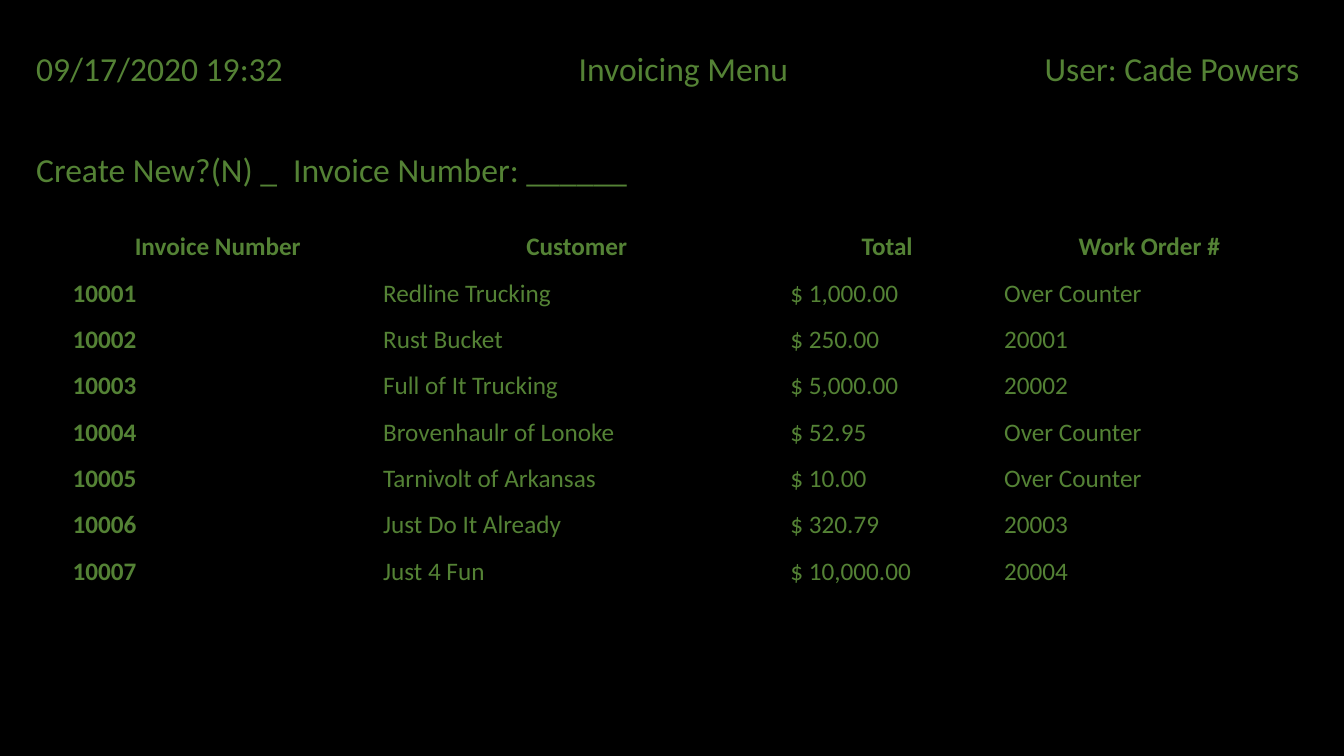
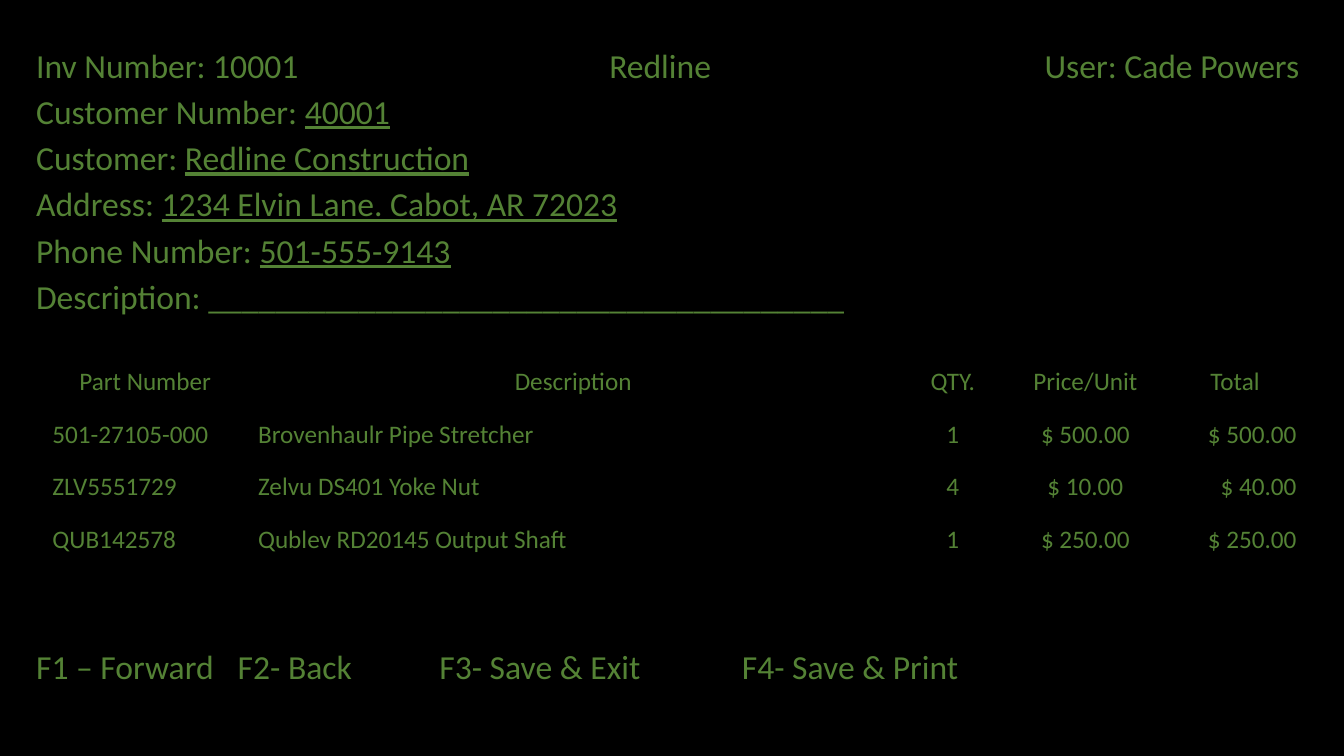
from pptx import Presentation
from pptx.dml.color import RGBColor
from pptx.enum.text import PP_ALIGN as Align
from pptx.oxml.ns import qn
from pptx.util import Inches, Pt
from lxml.etree import SubElement

GREEN, BLACK = "548235", "000000"
NO_GRID_STYLE = "{2D5ABB26-0587-4C30-8999-92F81FD0307C}"
LEFT, CENTER, RIGHT = Align.LEFT, Align.CENTER, Align.RIGHT
USER = "User: Cade Powers"
USER_TAB = (12.53, "r")


def color(value):
    return RGBColor.from_string(value)


def write(para, text, size, **extra):
    span = para.add_run()
    span.text = text
    span.font.color.rgb = color(GREEN)
    for name, value in {"name": "Calibri", "size": Pt(size), **extra}.items():
        setattr(span.font, name, value)


deck = Presentation()
deck.slide_width, deck.slide_height = Inches(13.33), Inches(7.5)
backdrop = deck.slide_master.background.fill
backdrop.solid()
backdrop.fore_color.rgb = color(BLACK)

screens = [
    {
        "height": 6.55,
        "line_spacing": 0.9,
        "lines": [
            ("09/17/2020 19:32\tInvoicing Menu\t" + USER, "", 10, [(6.42, "ctr"), USER_TAB]),
            ("Create New?(N) _\tInvoice Number: ______", "", 46, [(2.55, "l")]),
        ],
        "table_at": (0.62, 2.25),
        "columns": [3.08, 4.04, 2.12, 3.08],
        "row_height": 0.46,
        "aligns": [LEFT] * 4,
        "bold_heads": True,
        "rows": [
            ("Invoice Number", "Customer", "Total", "Work Order #"),
            ("10001", "Redline Trucking", "$ 1,000.00", "Over Counter"),
            ("10002", "Rust Bucket", "$ 250.00", "20001"),
            ("10003", "Full of It Trucking", "$ 5,000.00", "20002"),
            ("10004", "Brovenhaulr of Lonoke", "$ 52.95", "Over Counter"),
            ("10005", "Tarnivolt of Arkansas", "$ 10.00", "Over Counter"),
            ("10006", "Just Do It Already", "$ 320.79", "20003"),
            ("10007", "Just 4 Fun", "$ 10,000.00", "20004"),
        ],
    },
    {
        "height": 6.87,
        "line_spacing": 0.8,
        "lines": [
            ("Inv Number: 10001\tRedline\t" + USER, "", 10, [(6.19, "ctr"), USER_TAB]),
            ("Customer Number: ", "40001", 10, []),
            ("Customer: ", "Redline Construction", 10, []),
            ("Address: ", "1234 Elvin Lane. Cabot, AR 72023", 10, []),
            ("Phone Number: ", "501-555-9143", 10, []),
            ("Description: " + "_" * 38, "", 10, []),
            ("F1 – Forward\tF2- Back\tF3- Save & Exit\tF4- Save & Print", "", 241,
             [(2, "l"), (4, "l"), (7, "l")]),
        ],
        "table_at": (0.42, 3.59),
        "columns": [2.04, 6.45, 1.08, 1.55, 1.42],
        "row_height": 0.52,
        "aligns": [LEFT, LEFT, CENTER, CENTER, RIGHT],
        "bold_heads": False,
        "rows": [
            ("Part Number", "Description", "QTY.", "Price/Unit", "Total"),
            ("501-27105-000", "Brovenhaulr Pipe Stretcher", "1", "$ 500.00", "$ 500.00"),
            ("ZLV5551729", "Zelvu DS401 Yoke Nut", "4", "$ 10.00", "$ 40.00"),
            ("QUB142578", "Qublev RD20145 Output Shaft", "1", "$ 250.00", "$ 250.00"),
            ("",) * 5,
            ("",) * 5,
        ],
    },
]

for screen in screens:
    page = deck.slides.add_slide(deck.slide_layouts[6])
    box = page.shapes.add_textbox(
        Inches(0.26), Inches(0.47), Inches(12.8), Inches(screen["height"]))
    frame = box.text_frame
    frame.word_wrap = True
    for index, (label, entry, gap, tabs) in enumerate(screen["lines"]):
        para = frame.add_paragraph() if index else frame.paragraphs[0]
        para.line_spacing = screen["line_spacing"]
        para.space_before = Pt(gap)
        write(para, label, 24)
        if entry:
            write(para, entry, 24, underline=True)
        if tabs:
            tab_list = SubElement(para._p.get_or_add_pPr(), qn("a:tabLst"))
            for position, align in tabs:
                SubElement(tab_list, qn("a:tab"), pos=str(Inches(position)), algn=align)

    rows, columns = screen["rows"], screen["columns"]
    left, top = screen["table_at"]
    holder = page.shapes.add_table(
        len(rows), len(columns), Inches(left), Inches(top),
        Inches(sum(columns)), Inches(screen["row_height"] * len(rows)))
    for style in holder.element.iter(qn("a:tableStyleId")):
        style.text = NO_GRID_STYLE
    table = holder.table
    table.first_row = table.horz_banding = False
    for column, width in zip(table.columns, columns):
        column.width = Inches(width)
    for row_index, row in enumerate(rows):
        table.rows[row_index].height = Inches(screen["row_height"])
        for column_index, text in enumerate(row):
            cell = table.cell(row_index, column_index)
            cell.fill.background()
            para = cell.text_frame.paragraphs[0]
            para.alignment = screen["aligns"][column_index] if row_index else CENTER
            if text:
                is_head = row_index == 0 or column_index == 0
                write(para, text, 18, bold=screen["bold_heads"] and is_head)

deck.save("out.pptx")
